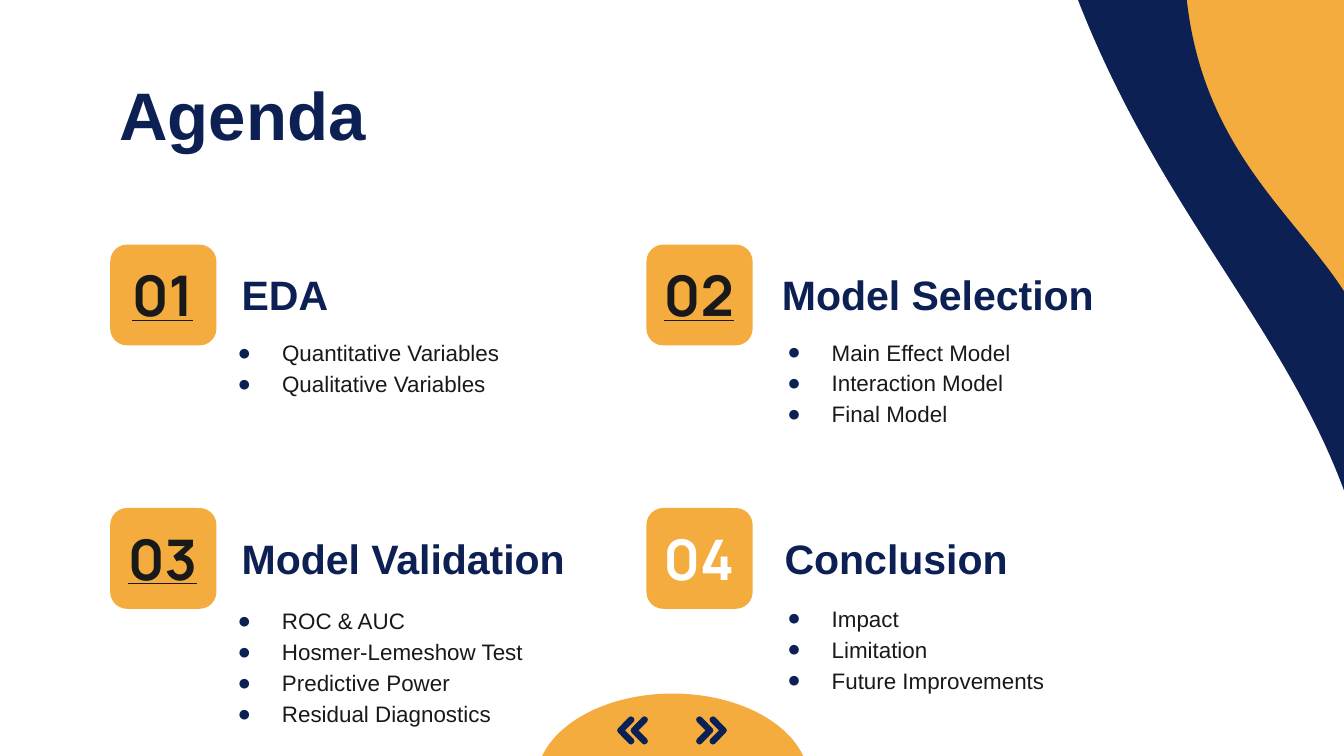
"""Build an agenda slide with four numbered sections."""
import pptx
import pptx.util
import pptx.dml.color
import pptx.enum.shapes
import pptx.enum.text
import pptx.oxml
import pptx.oxml.ns
from pptx.util import Inches

NAVY = pptx.dml.color.RGBColor(0x0C, 0x20, 0x54)
ORANGE = pptx.dml.color.RGBColor(0xF3, 0xAC, 0x3D)
WHITE = pptx.dml.color.RGBColor(0xFF, 0xFF, 0xFF)
INK = pptx.dml.color.RGBColor(0x19, 0x19, 0x19)
SHAPE = pptx.enum.shapes.MSO_SHAPE
ALIGN = pptx.enum.text.PP_ALIGN


def add_filled(kind, box, color, rotation=0):
    shape = slide.shapes.add_shape(kind, *map(Inches, box))
    shape.shadow.inherit = False
    shape.fill.solid()
    shape.fill.fore_color.rgb = color
    shape.line.fill.background()
    shape.rotation = rotation
    return shape


def add_text(box, lines, size, color, font="Arial", bold=True, underline=None,
             align=ALIGN.LEFT, bullets=False):
    frame = slide.shapes.add_textbox(*map(Inches, box)).text_frame
    frame.word_wrap = True
    frame.vertical_anchor = pptx.enum.text.MSO_ANCHOR.MIDDLE
    frame.margin_left = frame.margin_right = Inches(0.1)
    frame.margin_top = frame.margin_bottom = Inches(0.1)
    frame.text = "\n".join(lines)
    for paragraph in frame.paragraphs:
        paragraph.alignment = align
        if bullets:
            paragraph.line_spacing = 1.15
            properties = paragraph._p.get_or_add_pPr()
            properties.set("marL", str(Inches(0.5)))
            properties.set("indent", str(Inches(-0.33)))
            namespace = pptx.oxml.ns.nsdecls("a")
            for element in (f'<a:buClr {namespace}><a:srgbClr val="{NAVY}"/></a:buClr>',
                            f'<a:buSzPts {namespace} val="{size * 100}"/>',
                            f'<a:buFont {namespace} typeface="{font}"/>',
                            f'<a:buChar {namespace} char="●"/>'):
                properties.append(pptx.oxml.parse_xml(element))
        paragraph.font.name = font
        paragraph.font.size = pptx.util.Pt(size)
        paragraph.font.bold = bold
        paragraph.font.underline = underline
        paragraph.font.color.rgb = color


presentation = pptx.Presentation()
presentation.slide_width = Inches(10)
presentation.slide_height = Inches(10) * 9 // 16
slide = presentation.slides.add_slide(presentation.slide_layouts[6])
slide.background.fill.solid()
slide.background.fill.fore_color.rgb = ORANGE

add_filled(SHAPE.FLOWCHART_DOCUMENT, (4.66, -1.37, 4.36, 6.93), NAVY, 267)
add_filled(SHAPE.FLOWCHART_DOCUMENT, (-0.56, -2.74, 10.13, 11.42), WHITE, 264.8)

add_text((0.79, 0.58, 8.43, 0.53), ["Agenda"], 36, NAVY)

sections = [
    ("01", 0.82, 1.82, "EDA", (1.7, 2.94), (1.5, 2.46, 3.15, 0.53),
     ["Quantitative Variables", "Qualitative Variables"]),
    ("02", 4.81, 1.82, "Model Selection", (5.72, 3.6), (5.59, 2.46, 2.94, 0.75),
     ["Main Effect Model", "Interaction Model", "Final Model"]),
    ("03", 0.82, 3.78, "Model Validation", (1.7, 2.94), (1.5, 4.42, 2.94, 1.06),
     ["ROC & AUC", "Hosmer-Lemeshow Test", "Predictive Power", "Residual Diagnostics"]),
    ("04", 4.81, 3.78, "Conclusion", (5.74, 2.94), (5.59, 4.44, 2.94, 0.75),
     ["Impact", "Limitation", "Future Improvements"]),
]
for number, left, top, heading, (heading_left, heading_width), body_box, items in sections:
    linked = number != "04"
    text_top = top + 0.08
    add_filled(SHAPE.ROUNDED_RECTANGLE, (left, top, 0.79, 0.75), ORANGE)
    add_text((left - 0.01, text_top, 0.8, 0.58), [number], 30, INK if linked else WHITE,
             "Manrope", underline=linked, align=ALIGN.CENTER)
    add_text((heading_left, text_top, heading_width, 0.58), [heading], 22, NAVY)
    add_text(body_box, items, 12, INK, bold=False, bullets=True)

half_disc = add_filled(SHAPE.PIE, (3.99, 5.16, 2.03, 1.31), ORANGE, 180)
half_disc.adjustments[0] = 0
half_disc.adjustments[1] = 108

upper_half = [(70, 105), (5, 40), (0, 25), (5, 10), (25, 0), (40, 6), (122, 90), (128, 105)]
lower_half = [(x, 210 - y) for x, y in reversed(upper_half[1:-1])]
chevron = upper_half + lower_half
for direction, origins in ((1, (5.18, 5.28)), (-1, (4.82, 4.72))):
    group = slide.shapes.add_group_shape()
    for origin in origins:
        points = [(direction * x, y) for x, y in chevron]
        builder = group.shapes.build_freeform(*points[0], scale=Inches(1) / 1000)
        builder.add_line_segments(points[1:], close=True)
        arrow = builder.convert_to_shape(Inches(origin), Inches(5.33))
        arrow.shadow.inherit = False
        arrow.fill.solid()
        arrow.fill.fore_color.rgb = NAVY
        arrow.line.fill.background()

presentation.save("out.pptx")
